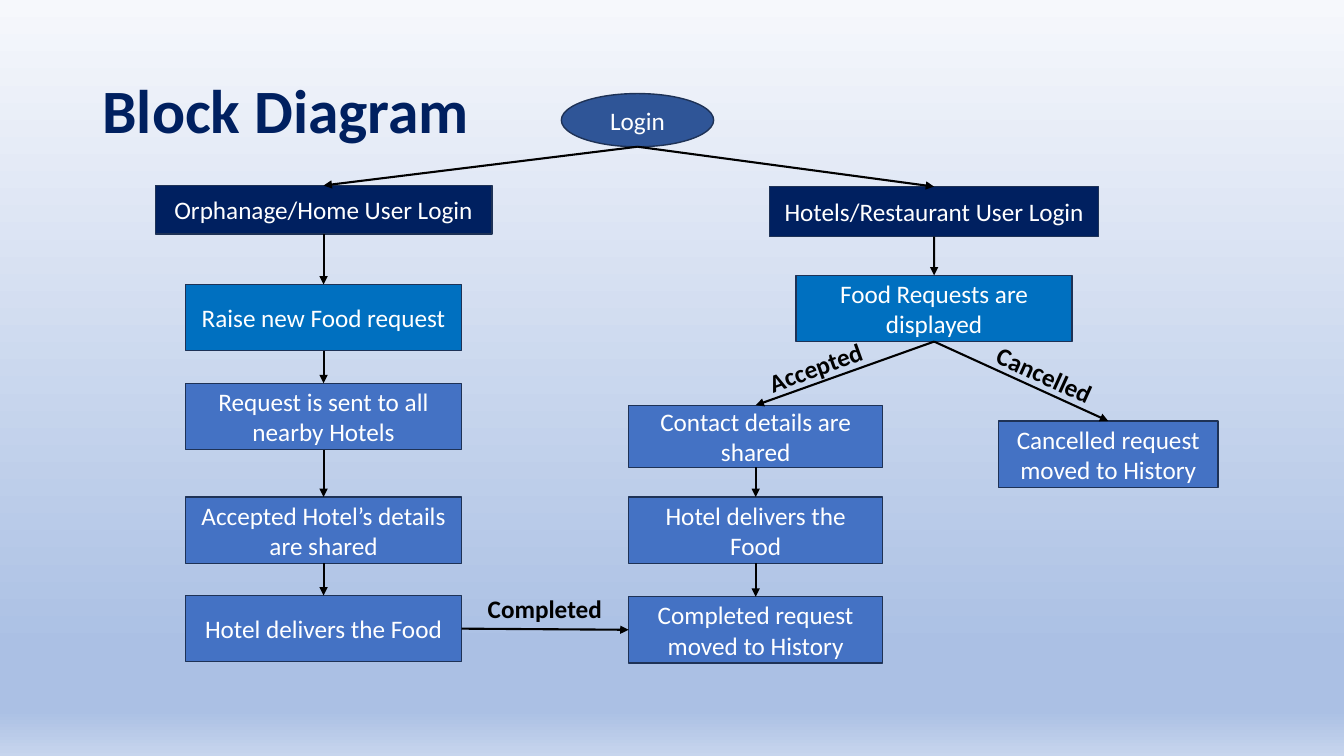
from copy import deepcopy

from lxml.etree import SubElement
from pptx import Presentation
from pptx.dml.color import RGBColor
from pptx.enum.shapes import MSO_CONNECTOR, MSO_SHAPE
from pptx.enum.text import MSO_ANCHOR, MSO_AUTO_SIZE, PP_ALIGN
from pptx.oxml.ns import qn
from pptx.util import Pt

NAVY, BRIGHT, BLUE, INDIGO = "002060", "0070C0", "4472C4", "2F5597"
OUTLINE, BLACK, WHITE = "1E3256", "000000", "FFFFFF"
TOP, LEFT, BOTTOM, RIGHT = range(4)
OVAL_BOTTOM = 4


def rgb(color):
    return RGBColor.from_string(color)


class FlowSlide:
    """Holds the text style and the slide being drawn."""

    font = "Calibri"
    size = 18

    def __init__(self, prs):
        self.s = prs.slides.add_slide(prs.slide_layouts[5])

    def style(self, p, color, size=None, bold=False):
        p.font.name = self.font
        p.font.size = Pt(size or self.size)
        p.font.bold = bold
        p.font.color.rgb = rgb(color)

    def background(self, stops):
        """Fill the background from top to bottom with (position, colour) stops."""
        fill = self.s.background.fill
        fill.gradient()
        fill.gradient_angle = 270
        gs_lst = next(self.s.element.iter(qn("a:gsLst")))
        for _ in range(len(stops) - len(gs_lst)):
            gs_lst.append(deepcopy(gs_lst[0]))
        for stop, (position, color) in zip(fill.gradient_stops, stops):
            stop.position = position
            stop.color.rgb = rgb(color)

    def title(self, text, x, y, w, h):
        sp = self.s.shapes.title
        sp.left, sp.top, sp.width, sp.height = Pt(x), Pt(y), Pt(w), Pt(h)
        tf = sp.text_frame
        tf.text = text
        tf.auto_size = MSO_AUTO_SIZE.NONE
        tf.vertical_anchor = MSO_ANCHOR.MIDDLE
        p = tf.paragraphs[0]
        p.alignment = PP_ALIGN.LEFT
        p.line_spacing = 0.9
        self.style(p, NAVY, 44, True)

    def box(self, text, x, y, w, h, color=BLUE, kind=MSO_SHAPE.RECTANGLE):
        sp = self.s.shapes.add_shape(kind, Pt(x), Pt(y), Pt(w), Pt(h))
        sp.shadow.inherit = False
        sp.fill.solid()
        sp.fill.fore_color.rgb = rgb(color)
        sp.line.color.rgb = rgb(OUTLINE)
        sp.line.width = Pt(1)
        tf = sp.text_frame
        tf.text = text
        tf.word_wrap = True
        tf.vertical_anchor = MSO_ANCHOR.MIDDLE
        p = tf.paragraphs[0]
        p.alignment = PP_ALIGN.CENTER
        self.style(p, WHITE)
        return sp

    def arrow(self, source, target, start=BOTTOM, end=TOP):
        """Join two shapes at the given sides."""
        line = self.s.shapes.add_connector(MSO_CONNECTOR.STRAIGHT, 0, 0, 0, 0)
        line.begin_connect(source, start)
        line.end_connect(target, end)
        # An oval has eight connection sites, so its bottom has another number.
        if source.auto_shape_type == MSO_SHAPE.OVAL:
            next(line.element.iter(qn("a:stCxn"))).set("idx", str(OVAL_BOTTOM))
        line.line.color.rgb = rgb(BLACK)
        line.line.width = Pt(1.5)
        sp_pr = line.element.spPr
        SubElement(sp_pr.find(qn("a:ln")), qn("a:tailEnd"), type="triangle")
        SubElement(sp_pr, qn("a:effectLst"))

    def chain(self, boxes):
        for source, target in zip(boxes, boxes[1:]):
            self.arrow(source, target)

    def label(self, text, x, y, w, h, rotation=0):
        sp = self.s.shapes.add_textbox(Pt(x), Pt(y), Pt(w), Pt(h))
        sp.rotation = rotation
        tf = sp.text_frame
        tf.text = text
        tf.word_wrap = False
        tf.auto_size = MSO_AUTO_SIZE.SHAPE_TO_FIT_TEXT
        self.style(tf.paragraphs[0], BLACK, bold=True)


def main():
    prs = Presentation()
    prs.slide_width, prs.slide_height = Pt(960), Pt(540)
    flow = FlowSlide(prs)
    flow.background([(0, "F6F8FC"), (0.86, "ABC0E4"), (0.94, "ABC0E4"), (1, "C7D5ED")])
    flow.title("Block Diagram", 66, 28.8, 828, 104.4)

    login = flow.box("Login", 401, 66.8, 108.8, 38, INDIGO, MSO_SHAPE.OVAL)
    home = flow.box("Orphanage/Home User Login", 110.9, 132.5, 240.5, 34.7, NAVY)
    hotel = flow.box("Hotels/Restaurant User Login", 549.6, 133.3, 235.2, 35.7, NAVY)

    home_steps = [home] + [
        flow.box(text, 132.5, y, 197.3, 47.3, color)
        for text, y, color in [
            ("Raise new Food request", 203.2, BRIGHT),
            ("Request is sent to all nearby Hotels", 273.8, BLUE),
            ("Accepted Hotel’s details are shared", 355, BLUE),
            ("Hotel delivers the Food", 425.4, BLUE),
        ]
    ]
    requests = flow.box("Food Requests are displayed", 568.6, 196.7, 197.3, 47.3, BRIGHT)
    accepted_steps = [
        flow.box(text, 449, y, 181.6, h)
        for text, y, h in [
            ("Contact details are shared", 289.5, 44.3),
            ("Hotel delivers the Food", 355, 47.3),
            ("Completed request moved to History", 426.2, 47.3),
        ]
    ]
    cancelled = flow.box("Cancelled request moved to History", 713.3, 300.7, 156.6, 47.6)

    for user in (home, hotel):
        flow.arrow(login, user)
    flow.chain(home_steps)
    flow.chain([hotel, requests] + accepted_steps)
    flow.arrow(requests, cancelled)
    flow.arrow(home_steps[-1], accepted_steps[-1], RIGHT, LEFT)

    flow.label("Accepted", 540.7, 247.7, 84.2, 29, 340.2)
    flow.label("Cancelled", 702.7, 254.2, 91.4, 29, 24.5)
    flow.label("Completed", 341.3, 420.5, 102.2, 29)
    prs.save("out.pptx")


if __name__ == "__main__":
    main()
